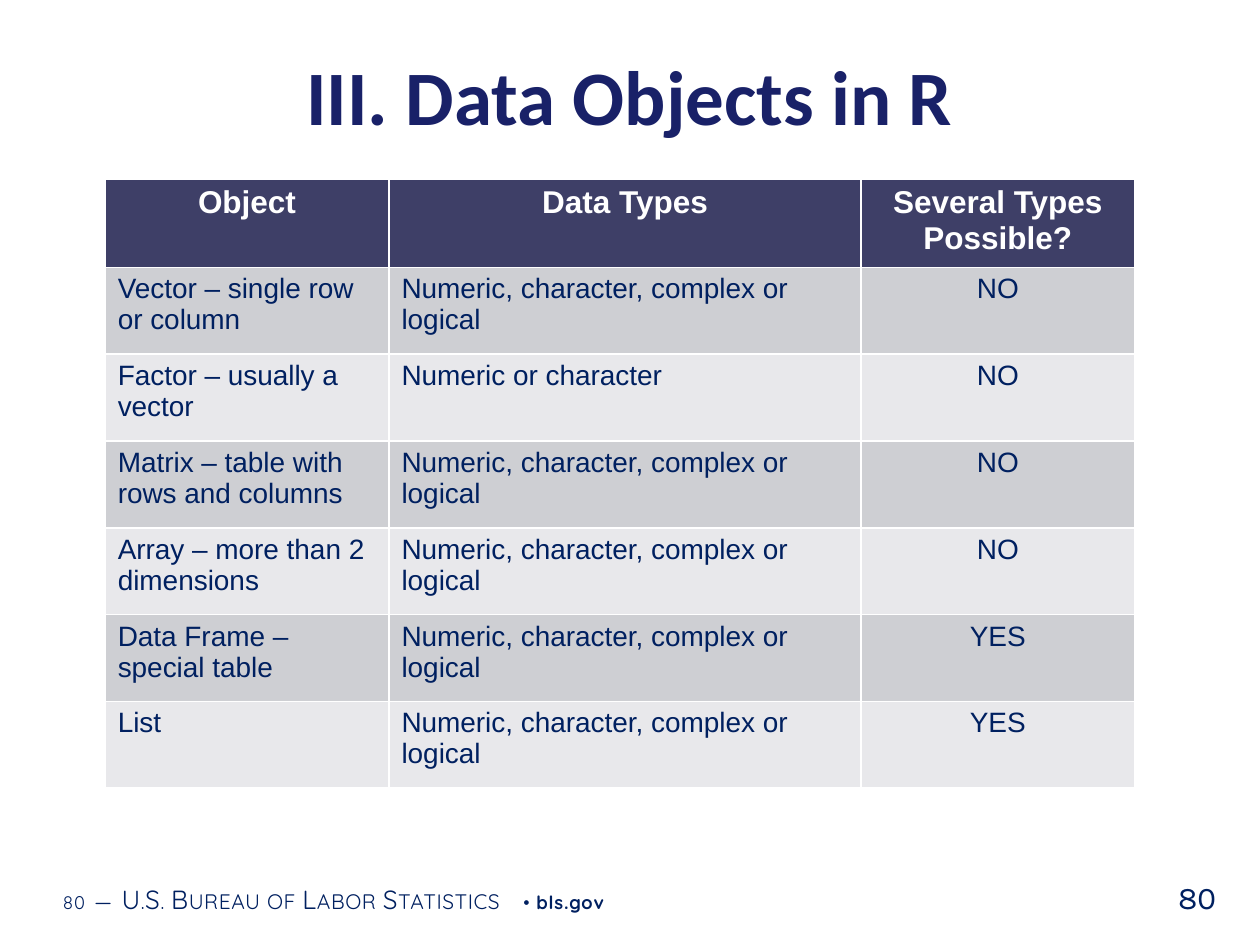
from pptx import Presentation
from pptx.dml.color import RGBColor
from pptx.enum.text import MSO_ANCHOR, PP_ALIGN
from pptx.util import Cm, Pt

NAVY = "002060"
WHITE = "FFFFFF"
MIXED = "Numeric, character, complex or logical"
ROWS = [
    ("Object", "Data Types", "Several Types Possible?"),
    ("Vector – single row or column", MIXED, "NO"),
    ("Factor – usually a vector", "Numeric or character", "NO"),
    ("Matrix – table with rows and columns", MIXED, "NO"),
    ("Array – more than 2 dimensions", MIXED, "NO"),
    ("Data Frame – special table", MIXED, "YES"),
    ("List", MIXED, "YES"),
]
COL_WIDTHS = (5.72, 9.52, 5.51)
ROW_HEIGHT = 1.75


def rgb(color):
    """Turn a hex string into a colour."""
    return RGBColor.from_string(color)


def set_font(font, name, size, color, bold=False):
    """Set the main font properties."""
    font.name, font.size, font.bold = name, Pt(size), bold
    font.color.rgb = rgb(color)


def add_title(s, text):
    """Place and format the title placeholder."""
    sp = s.shapes.title
    sp.left, sp.top, sp.width, sp.height = Cm(1.27), Cm(0.76), Cm(22.86), Cm(3.05)
    tf = sp.text_frame
    tf.text = text
    tf.vertical_anchor = MSO_ANCHOR.TOP
    tf.margin_top = Cm(0.22)
    p = tf.paragraphs[0]
    p.alignment = PP_ALIGN.CENTER
    set_font(p.font, "Calibri", 44, "192168", True)


def add_text_box(s, left, top, width, height):
    """Add a wrapping text box and return its text frame."""
    tf = s.shapes.add_textbox(Cm(left), Cm(top), Cm(width), Cm(height)).text_frame
    tf.word_wrap = True
    return tf


def add_run(p, text, size, spacing, small_caps=False, bold=False):
    """Add a footer run with letter spacing in hundredths of a point."""
    r = p.add_run()
    r.text = text
    set_font(r.font, "Quicksand", size, NAVY, bold)
    props = r._r.get_or_add_rPr()
    props.set("spc", str(spacing))
    if small_caps:
        props.set("cap", "small")


def add_footer(s):
    """Add the footer line with page number, agency and address."""
    tf = add_text_box(s, 1.09, 17.6, 16.08, 1.02)
    tf.vertical_anchor = MSO_ANCHOR.MIDDLE
    tf.margin_left = tf.margin_right = Cm(0.18)
    tf.margin_top = tf.margin_bottom = Cm(0.1)
    p = tf.paragraphs[0]
    add_run(p, "80", 10.5, 50)
    add_run(p, " ", 16, 50)
    add_run(p, "—", 15, 30, small_caps=True)
    add_run(p, " ", 16, 50)
    add_run(p, "U.S. Bureau of Labor Statistics", 15, 30, small_caps=True)
    add_run(p, " • ", 10.5, 50)
    add_run(p, "bls.gov", 10.5, 50, bold=True)


def add_page_number(s, text):
    """Add the large page number at the lower right."""
    p = add_text_box(s, 23.5, 17.58, 1.9, 1.02).paragraphs[0]
    p.text = text
    set_font(p.font, "Karla", 18, NAVY)


def add_object_table(s, left, top):
    """Add the table of data objects with a header and banded rows."""
    table = s.shapes.add_table(
        len(ROWS), len(COL_WIDTHS), Cm(left), Cm(top),
        Cm(sum(COL_WIDTHS)), Cm(ROW_HEIGHT * len(ROWS)),
    ).table
    for column, width in zip(table.columns, COL_WIDTHS):
        column.width = Cm(width)
    for i, row in enumerate(ROWS):
        table.rows[i].height = Cm(ROW_HEIGHT)
        header = i == 0
        fill = "3E3F67" if header else ("E8E8EB", "CECFD3")[i % 2]
        for j, text in enumerate(row):
            cell = table.cell(i, j)
            cell.fill.solid()
            cell.fill.fore_color.rgb = rgb(fill)
            cell.text = text
            p = cell.text_frame.paragraphs[0]
            p.alignment = PP_ALIGN.CENTER if header or j == 2 else PP_ALIGN.LEFT
            set_font(p.font, "Arial", 18 if header else 16,
                     WHITE if header else NAVY, header)


def main():
    """Build and save the slide."""
    prs = Presentation()
    prs.slide_width, prs.slide_height = Cm(25.4), Cm(19.05)
    s = prs.slides.add_slide(prs.slide_layouts[5])
    add_footer(s)
    add_title(s, "III. Data Objects in R")
    add_page_number(s, "80")
    add_object_table(s, 2.12, 3.61)
    prs.save("out.pptx")


if __name__ == "__main__":
    main()
